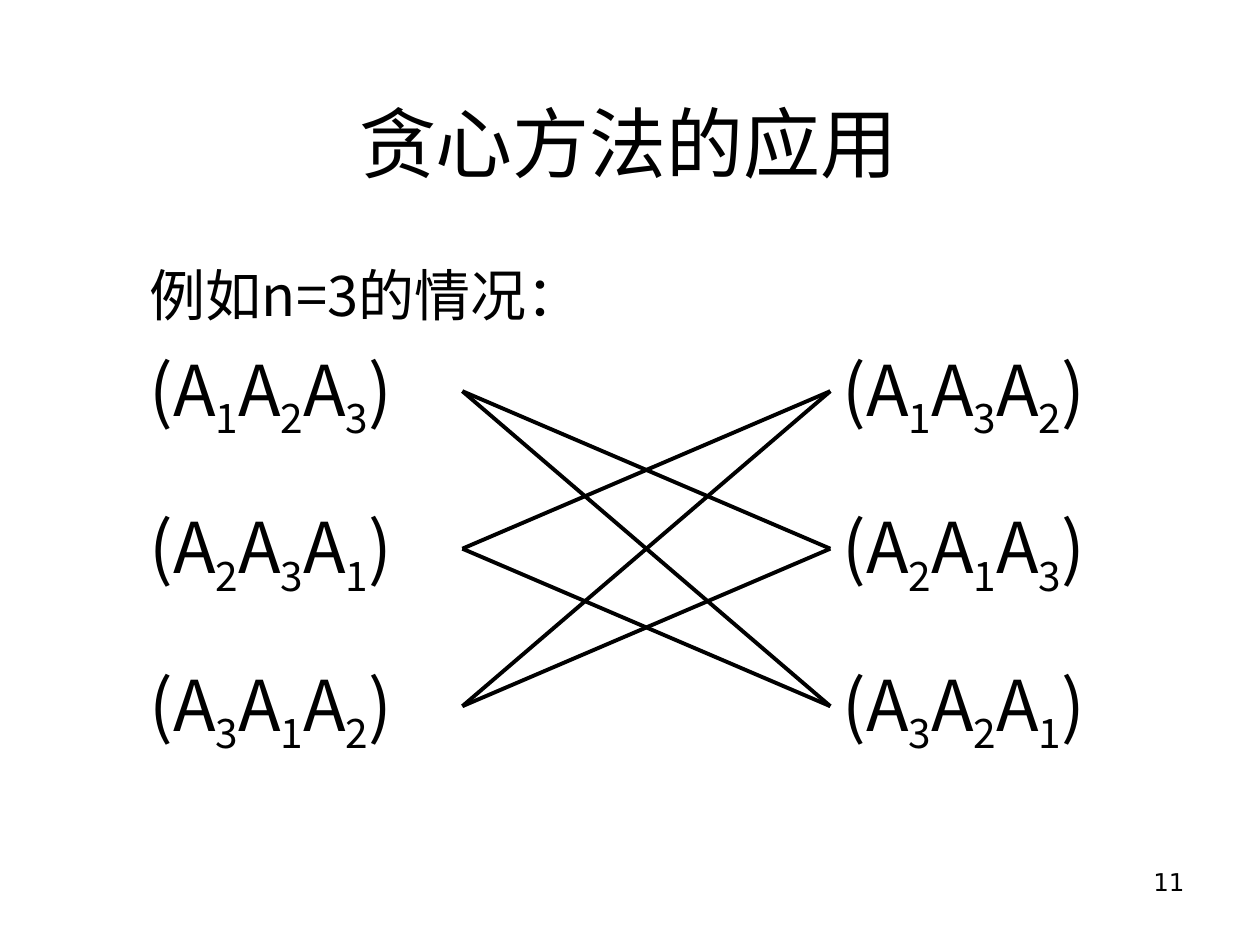
from itertools import product

from lxml.etree import SubElement
from pptx import Presentation
from pptx.dml.color import RGBColor
from pptx.enum.shapes import MSO_CONNECTOR as Connector
from pptx.enum.text import MSO_ANCHOR as Anchor, PP_ALIGN as Align
from pptx.oxml.ns import qn
from pptx.util import Pt

PX = 9144  # 100 px to the inch
BLACK = "000000"
CJK, SANS = "Noto Sans CJK SC", "DejaVu Sans"
LEFT_ORDERS = ["123", "231", "312"]
RIGHT_ORDERS = ["132", "213", "321"]


def emu(*lengths):
    return [length * PX for length in lengths]


def color(value):
    return RGBColor.from_string(value)


def add_span(para, text, size, face=CJK, subscript=False):
    span = para.add_run()
    span.text = text
    style = {"size": Pt(size), "name": face}
    for name, value in style.items():
        setattr(span.font, name, value)
    span.font.color.rgb = color(BLACK)
    props = span._r.get_or_add_rPr()
    SubElement(props, qn("a:ea")).set("typeface", face)
    if subscript:
        props.set("baseline", "-25000")


def add_text_box(page, box):
    shape = page.shapes.add_textbox(*emu(*box))
    shape.text_frame.word_wrap = True
    return shape


def add_title(page, box, text):
    title = page.shapes.title
    title.left, title.top, title.width, title.height = emu(*box)
    title.text_frame.vertical_anchor = Anchor.BOTTOM
    para = title.text_frame.paragraphs[0]
    para.alignment = Align.CENTER
    para.line_spacing = 0.9
    add_span(para, text, 44)


def add_line_of_text(page, box, text, size, face=CJK, align=Align.LEFT):
    para = add_text_box(page, box).text_frame.paragraphs[0]
    para.alignment = align
    add_span(para, text, size, face)


def add_product(page, box, order):
    """Write a matrix product such as (A1A2A3) with lowered indices."""
    shape = add_text_box(page, box)
    para = shape.text_frame.paragraphs[0]
    for position, index in enumerate(order):
        add_span(para, "A" if position else "(A", 40)
        add_span(para, index, 40, subscript=True)
    add_span(para, ")", 40)
    return shape


def add_link(page, start, end):
    link = page.shapes.add_connector(Connector.STRAIGHT, 0, 0, 0, 0)
    link.begin_connect(start, 3)
    link.end_connect(end, 1)
    link.line.width = Pt(2.25)
    link.line.color.rgb = color(BLACK)
    SubElement(link._element.spPr, qn("a:effectLst"))


def add_exchange_graph(page, box):
    """Join each product on the left to the two in other rows on the right."""
    left, top, width, height = box
    cell_width, cell_height = 258, 81
    pitch = (height - cell_height) // (len(LEFT_ORDERS) - 1)

    def add_column(x, orders):
        return [add_product(page, (x, top + row * pitch, cell_width, cell_height), order)
                for row, order in enumerate(orders)]

    starts = add_column(left, LEFT_ORDERS)
    ends = add_column(left + width - cell_width, RIGHT_ORDERS)
    for (row, start), (other, end) in product(enumerate(starts), enumerate(ends)):
        if row != other:
            add_link(page, start, end)


def main():
    deck = Presentation()
    deck.slide_width, deck.slide_height = emu(1000, 750)
    page = deck.slides.add_slide(deck.slide_layouts[5])
    add_title(page, (48, 11, 902, 144), "贪心方法的应用")
    add_line_of_text(page, (109, 202, 533, 67), "例如n=3的情况：", 32)
    add_exchange_graph(page, (109, 270, 808, 331))
    add_line_of_text(page, (717, 683, 233, 50), "11", 14, SANS, Align.RIGHT)
    deck.save("out.pptx")


if __name__ == "__main__":
    main()
